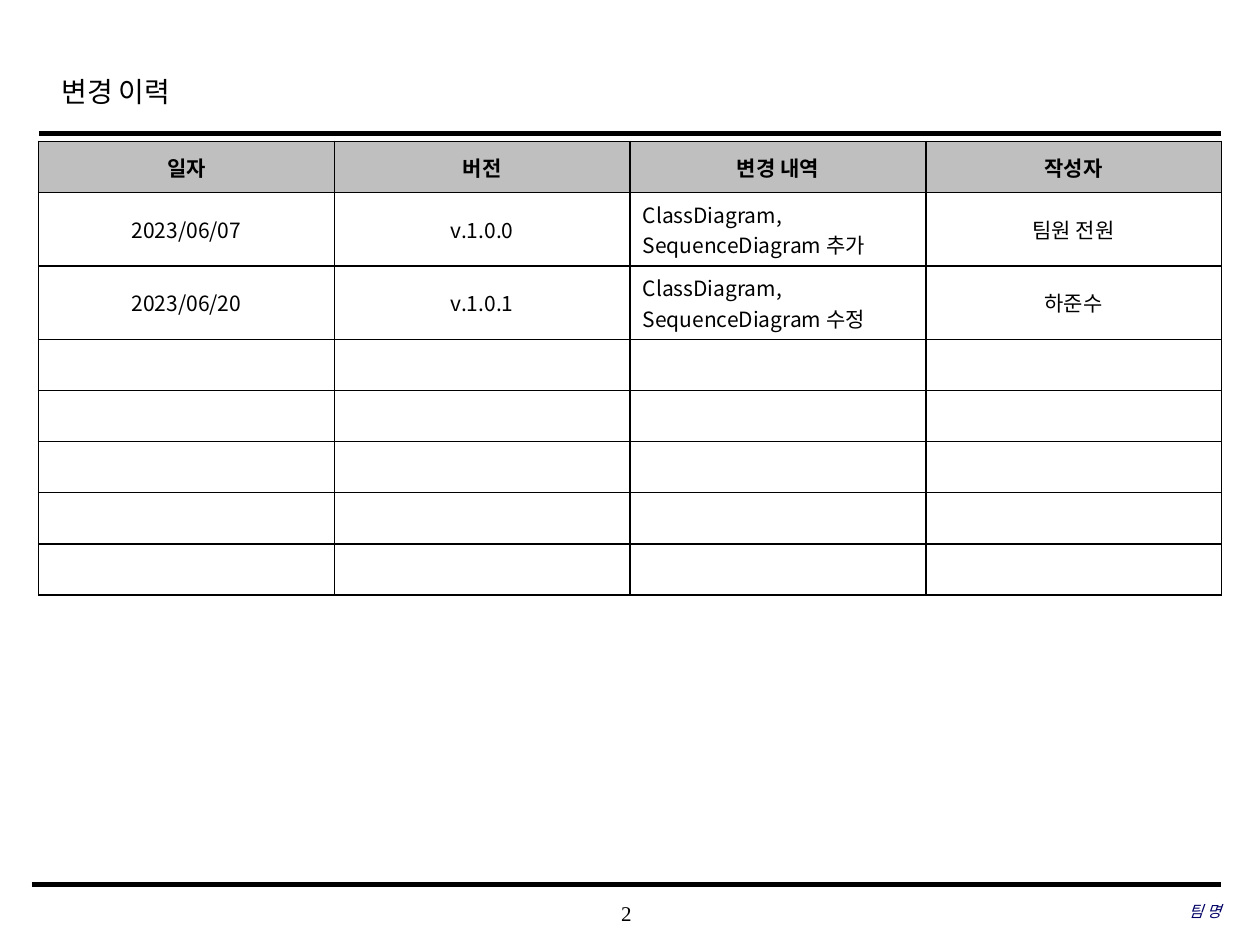
from lxml import etree
from pptx import Presentation
from pptx.dml.color import RGBColor
from pptx.enum.shapes import MSO_CONNECTOR
from pptx.enum.text import MSO_ANCHOR, PP_ALIGN
from pptx.oxml.ns import qn
from pptx.util import Pt

LEFT, CENTER, RIGHT = PP_ALIGN.LEFT, PP_ALIGN.CENTER, PP_ALIGN.RIGHT
TOP, MIDDLE = MSO_ANCHOR.TOP, MSO_ANCHOR.MIDDLE
STRAIGHT = MSO_CONNECTOR.STRAIGHT

BLACK = RGBColor(0x00, 0x00, 0x00)
WHITE = RGBColor(0xFF, 0xFF, 0xFF)
GRAY = RGBColor(0xBF, 0xBF, 0xBF)
NAVY = RGBColor(0x00, 0x00, 0x66)

SERIF = "Times New Roman"
SANS = "Noto Sans CJK KR"

HISTORY = [
    ["일자", "버전", "변경 내역", "작성자"],
    ["2023/06/07", "v.1.0.0", "ClassDiagram, SequenceDiagram 추가", "팀원 전원"],
    ["2023/06/20", "v.1.0.1", "ClassDiagram, SequenceDiagram 수정", "하준수"],
]
COLUMN_COUNT = len(HISTORY[0])
COLUMN_WIDTH = 169
DETAIL_COLUMN = 2
EMPTY_ROWS = 5
ONE_LINE, TWO_LINES = 29.2, 42
ROW_HEIGHTS = [ONE_LINE] + [TWO_LINES] * (len(HISTORY) - 1) + [ONE_LINE] * EMPTY_ROWS


def style_paragraph(para, size, name, color=BLACK, align=LEFT, bold=False, italic=False):
    para.alignment = align
    font = para.font
    font.size, font.name = Pt(size), name
    font.bold, font.italic = bold, italic
    font.color.rgb = color


def add_text(page, text, left, top, width, height, size, anchor=MIDDLE, insets=(0, 0), **style):
    box = page.shapes.add_textbox(Pt(left), Pt(top), Pt(width), Pt(height))
    frame = box.text_frame
    frame.word_wrap = True
    frame.vertical_anchor = anchor
    frame.margin_left = frame.margin_right = Pt(insets[0])
    frame.margin_top = frame.margin_bottom = Pt(insets[1])
    para = frame.paragraphs[0]
    para.text = text
    style_paragraph(para, size, SERIF, **style)
    return para


def add_rule(page, left, right, y, weight):
    rule = page.shapes.add_connector(STRAIGHT, Pt(left), Pt(y), Pt(right), Pt(y))
    rule.line.color.rgb = BLACK
    rule.line.width = Pt(weight)
    properties = rule._element.find(qn("p:spPr"))
    etree.SubElement(properties, qn("a:effectLst"))


def set_borders(cell, weight):
    properties = cell._tc.get_or_add_tcPr()
    for index, side in enumerate(("lnL", "lnR", "lnT", "lnB")):
        border = etree.Element(qn("a:" + side), w=str(Pt(weight)))
        fill = etree.SubElement(border, qn("a:solidFill"))
        etree.SubElement(fill, qn("a:srgbClr"), val=str(BLACK))
        properties.insert(index, border)


def add_history_table(page, left, top):
    frame = page.shapes.add_table(
        len(ROW_HEIGHTS), COLUMN_COUNT, Pt(left), Pt(top),
        Pt(COLUMN_WIDTH * COLUMN_COUNT), Pt(sum(ROW_HEIGHTS)))
    table = frame.table
    for column in table.columns:
        column.width = Pt(COLUMN_WIDTH)
    for row_index, row in enumerate(table.rows):
        row.height = Pt(ROW_HEIGHTS[row_index])
        is_header = row_index == 0
        for column_index, cell in enumerate(row.cells):
            cell.fill.solid()
            cell.fill.fore_color.rgb = GRAY if is_header else WHITE
            cell.vertical_anchor = MIDDLE
            set_borders(cell, 1)
            para = cell.text_frame.paragraphs[0]
            if row_index < len(HISTORY):
                para.text = HISTORY[row_index][column_index]
            is_detail = column_index == DETAIL_COLUMN and not is_header
            style_paragraph(para, 12, SANS, align=LEFT if is_detail else CENTER, bold=is_header)


def main():
    deck = Presentation()
    deck.slide_width, deck.slide_height = Pt(720), Pt(540)
    page = deck.slides.add_slide(deck.slide_layouts[6])

    # Title and frame lines
    add_rule(page, 22.3, 697.7, 76.3, 2.5)
    add_rule(page, 18, 697.7, 505.4, 3)
    title = add_text(page, "변경 이력", 28, 35.3, 543.6, 36, 16, anchor=TOP, insets=(7.2, 3.6))
    title.line_spacing = 1.2

    # Change history
    add_history_table(page, 22.1, 80.8)

    # Footer
    add_text(page, "2", 283, 509.8, 149.8, 23.8, 12, align=CENTER)
    add_text(page, "팀 명", 477.4, 509, 220.3, 23.8, 9, color=NAVY, align=RIGHT, italic=True)

    deck.save("out.pptx")


main()
